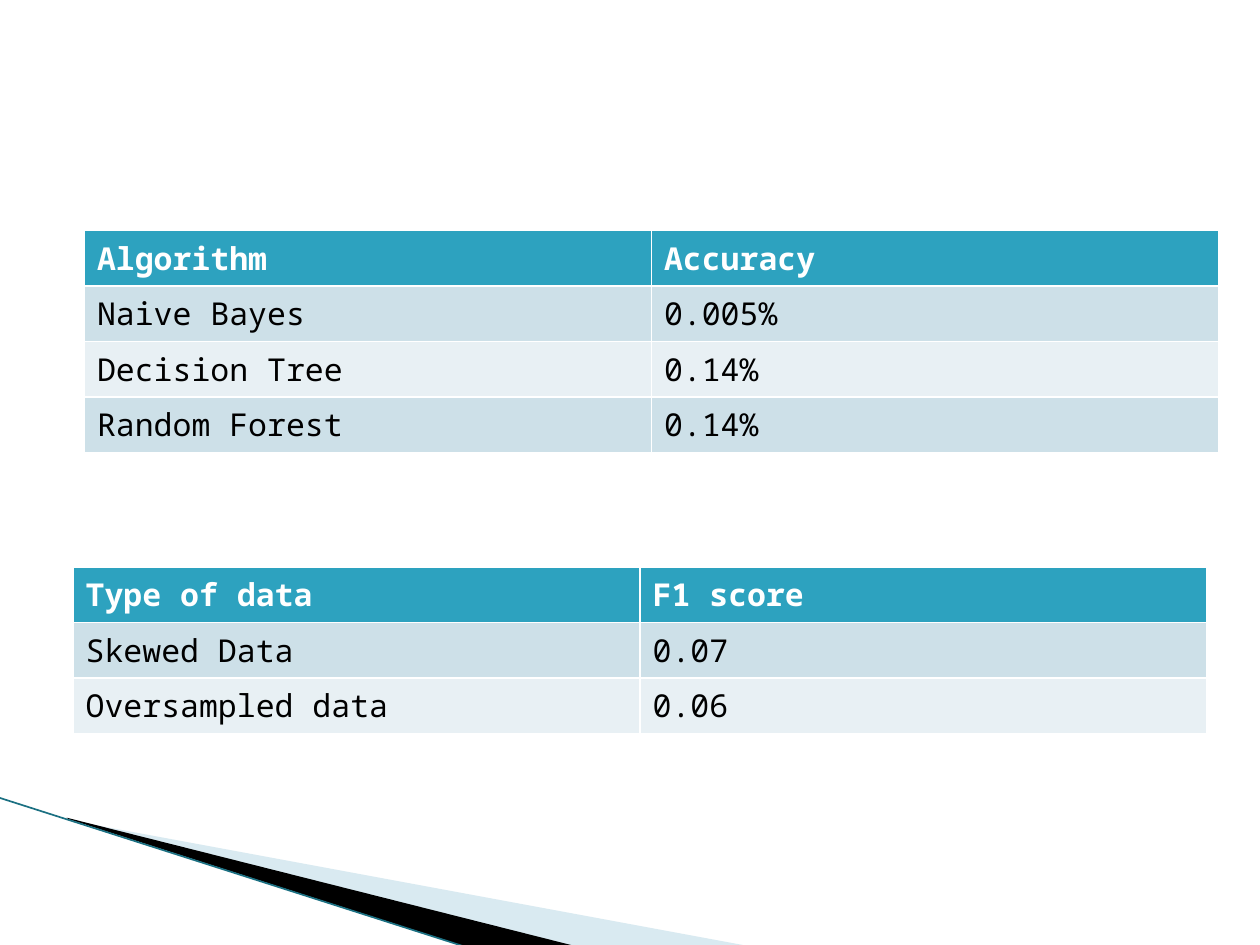
from lxml.etree import SubElement
from pptx import Presentation
from pptx.dml.color import RGBColor
from pptx.enum.shapes import MSO_CONNECTOR
from pptx.oxml.ns import qn
from pptx.util import Inches, Pt

FONT = "Noto Sans Mono"
WHITE = RGBColor(0xFF, 0xFF, 0xFF)
BLACK = RGBColor(0x00, 0x00, 0x00)
HEADER_TEAL = RGBColor(0x2D, 0xA2, 0xBF)
BAND_FILLS = (RGBColor(0xCD, 0xE0, 0xE8), RGBColor(0xE8, 0xF0, 0xF4))
WEDGE_BLUE = RGBColor(0xA0, 0xCB, 0xDC)
EDGE_TEAL = RGBColor(0x1B, 0x70, 0x82)

COLUMN_WIDTH = 4.5
ROW_HEIGHT = 0.41

ACCURACY_ROWS = [
    ("Algorithm", "Accuracy"),
    ("Naive Bayes", "0.005%"),
    ("Decision Tree", "0.14%"),
    ("Random Forest", "0.14%"),
]
F1_ROWS = [
    ("Type of data", "F1 score"),
    ("Skewed Data", "0.07"),
    ("Oversampled data", "0.06"),
]


def add_wedge(slide, points, color, opacity=100):
    """Add a filled polygon; points are in inches, opacity in percent."""
    start, *others = [(Inches(x), Inches(y)) for x, y in points]
    builder = slide.shapes.build_freeform(*start)
    builder.add_line_segments(others, close=True)
    shape = builder.convert_to_shape()
    shape.shadow.inherit = False
    shape.fill.solid()
    shape.fill.fore_color.rgb = color
    shape.line.fill.background()
    if opacity < 100:
        color_element = shape.fill._xPr.find(qn("a:solidFill"))[0]
        SubElement(color_element, qn("a:alpha"), val=str(opacity * 1000))


def add_edge_line(slide, start, end):
    connector = slide.shapes.add_connector(
        MSO_CONNECTOR.STRAIGHT, *map(Inches, start + end)
    )
    connector.line.color.rgb = EDGE_TEAL
    connector.line.width = Pt(0.95)
    SubElement(connector._element.spPr, qn("a:effectLst"))


def fill_cell(cell, text, row_index):
    is_header = row_index == 0
    cell.fill.solid()
    cell.fill.fore_color.rgb = (
        HEADER_TEAL if is_header else BAND_FILLS[(row_index - 1) % 2]
    )
    cell.text_frame.text = text
    font = cell.text_frame.paragraphs[0].runs[0].font
    font.name = FONT
    font.size = Pt(18)
    font.bold = is_header
    font.color.rgb = WHITE if is_header else BLACK


def add_result_table(slide, left, top, rows):
    """Add a table whose white rules come from the default table style."""
    column_count = len(rows[0])
    table = slide.shapes.add_table(
        len(rows), column_count, Inches(left), Inches(top),
        Inches(COLUMN_WIDTH * column_count), Inches(ROW_HEIGHT * len(rows)),
    ).table
    for row_index, row in enumerate(rows):
        for column_index, text in enumerate(row):
            fill_cell(table.cell(row_index, column_index), text, row_index)


def main():
    presentation = Presentation()
    presentation.slide_width = Inches(10)
    presentation.slide_height = Inches(7.5)
    slide = presentation.slides.add_slide(presentation.slide_layouts[6])

    add_wedge(slide, [(0.55, 6.51), (5.95, 7.51), (4.56, 7.51), (0.55, 6.5)],
              WEDGE_BLUE, opacity=40)
    add_wedge(slide, [(0.53, 6.49), (4.57, 7.51), (3.72, 7.52), (0.54, 6.5)],
              BLACK)
    add_edge_line(slide, (-0.01, 6.33), (3.71, 7.52))

    add_result_table(slide, 0.67, 1.83, ACCURACY_ROWS)
    add_result_table(slide, 0.58, 4.5, F1_ROWS)
    presentation.save("out.pptx")


if __name__ == "__main__":
    main()
